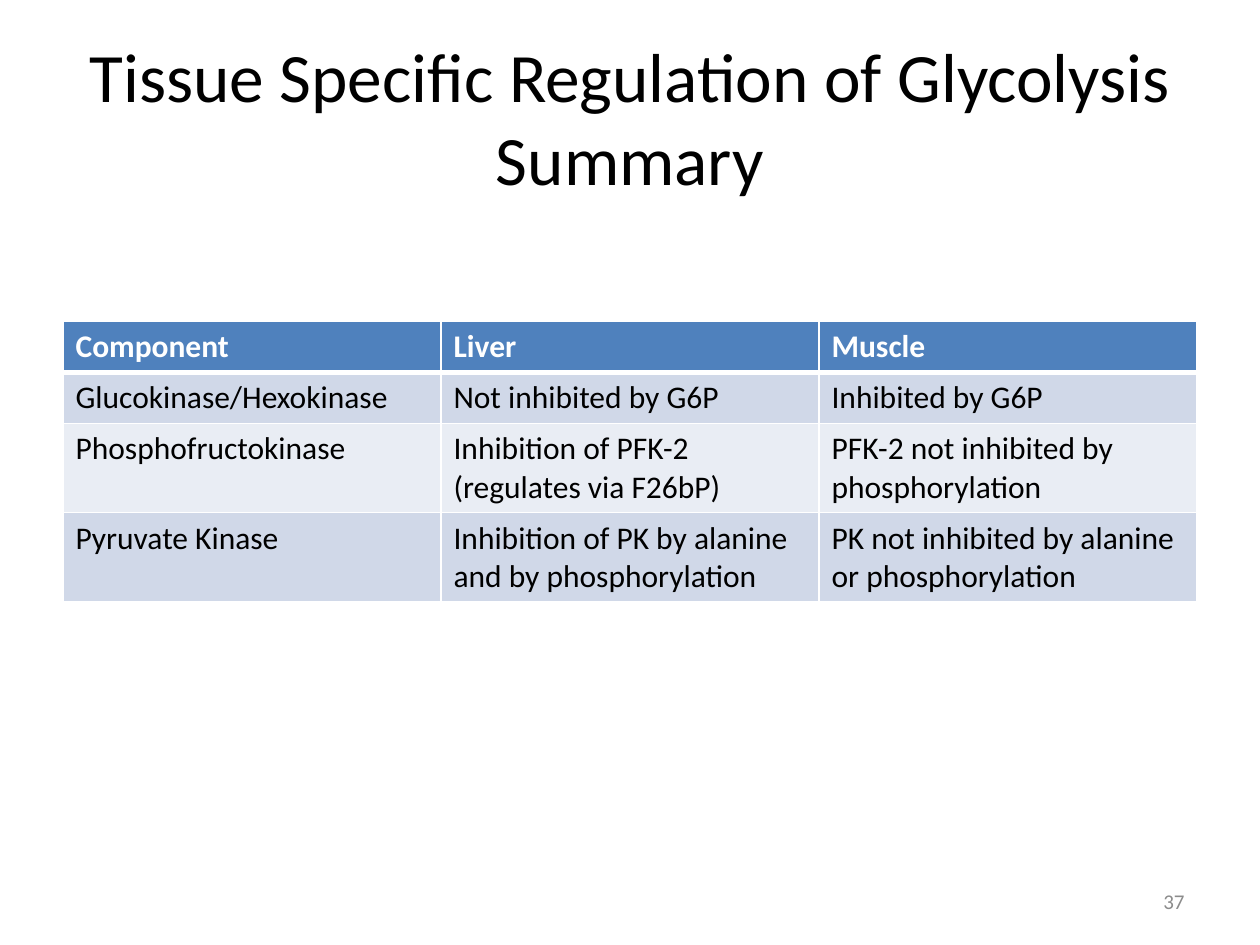
from lxml import etree
from pptx import Presentation
from pptx.dml.color import RGBColor
from pptx.enum.text import MSO_ANCHOR, PP_ALIGN
from pptx.oxml.ns import qn
from pptx.util import Pt

MIDDLE = MSO_ANCHOR.MIDDLE
CENTER, RIGHT = PP_ALIGN.CENTER, PP_ALIGN.RIGHT
BLANK_LAYOUT = 6
COLORS = {
    "text": "000000",
    "white": "FFFFFF",
    "header": "4F81BD",
    "odd_row": "D0D8E8",
    "even_row": "E9EDF4",
    "page_number": "8C8C8C",
}
REGULATION = [
    ["Component", "Liver", "Muscle"],
    ["Glucokinase/Hexokinase", "Not inhibited by G6P", "Inhibited by G6P"],
    ["Phosphofructokinase", "Inhibition of PFK-2 (regulates via F26bP)",
     "PFK-2 not inhibited by phosphorylation"],
    ["Pyruvate Kinase", "Inhibition of PK by alanine and by phosphorylation",
     "PK not inhibited by alanine or phosphorylation"],
]
ROW_HEIGHTS = [29.2, 29.2, 51, 51]


class SlideBuilder:
    def __init__(self, page, font_name="Calibri"):
        self.page = page
        self.font_name = font_name

    def color(self, name):
        return RGBColor.from_string(COLORS[name])

    def style(self, font, size, color, bold=False):
        values = {"name": self.font_name, "size": Pt(size), "bold": bold}
        for key, value in values.items():
            setattr(font, key, value)
        font.color.rgb = self.color(color)

    def text(self, words, left, top, width, height, size, color, align):
        box = self.page.shapes.add_textbox(Pt(left), Pt(top), Pt(width), Pt(height))
        frame = box.text_frame
        frame.word_wrap = True
        frame.vertical_anchor = MIDDLE
        para = frame.paragraphs[0]
        para.alignment = align
        span = para.add_run()
        span.text = words
        self.style(span.font, size, color)

    def borders(self, cell, widths):
        """Draw white borders; widths maps a side (L, R, T, B) to points."""
        properties = cell._tc.get_or_add_tcPr()
        for position, (side, width) in enumerate(widths.items()):
            line = etree.Element(qn(f"a:ln{side}"), w=str(Pt(width)))
            fill = etree.SubElement(line, qn("a:solidFill"))
            etree.SubElement(fill, qn("a:srgbClr"), val=COLORS["white"])
            properties.insert(position, line)

    def table(self, rows, left, top, width, row_heights):
        frame = self.page.shapes.add_table(
            len(rows), len(rows[0]), Pt(left), Pt(top), Pt(width), Pt(sum(row_heights)))
        grid = frame.table
        for row_index, row in enumerate(rows):
            grid.rows[row_index].height = Pt(row_heights[row_index])
            is_header = row_index == 0
            band = "header" if is_header else "odd_row" if row_index % 2 else "even_row"
            widths = {"L": 1, "R": 1, "T": 3 if row_index == 1 else 1,
                      "B": 3 if is_header else 1}
            for column_index, words in enumerate(row):
                cell = grid.cell(row_index, column_index)
                cell.fill.solid()
                cell.fill.fore_color.rgb = self.color(band)
                self.borders(cell, widths)
                span = cell.text_frame.paragraphs[0].add_run()
                span.text = words
                self.style(span.font, 18, "white" if is_header else "text", is_header)


def main():
    deck = Presentation()
    deck.slide_width, deck.slide_height = Pt(720), Pt(540)
    builder = SlideBuilder(deck.slides.add_slide(deck.slide_layouts[BLANK_LAYOUT]))
    builder.text("Tissue Specific Regulation of Glycolysis Summary",
                 36, 21.6, 648, 90, 39.6, "text", CENTER)
    builder.table(REGULATION, 36, 183.6, 648, ROW_HEIGHTS)
    builder.text("37", 516, 500.5, 168, 28.75, 12, "page_number", RIGHT)
    deck.save("out.pptx")


if __name__ == "__main__":
    main()
